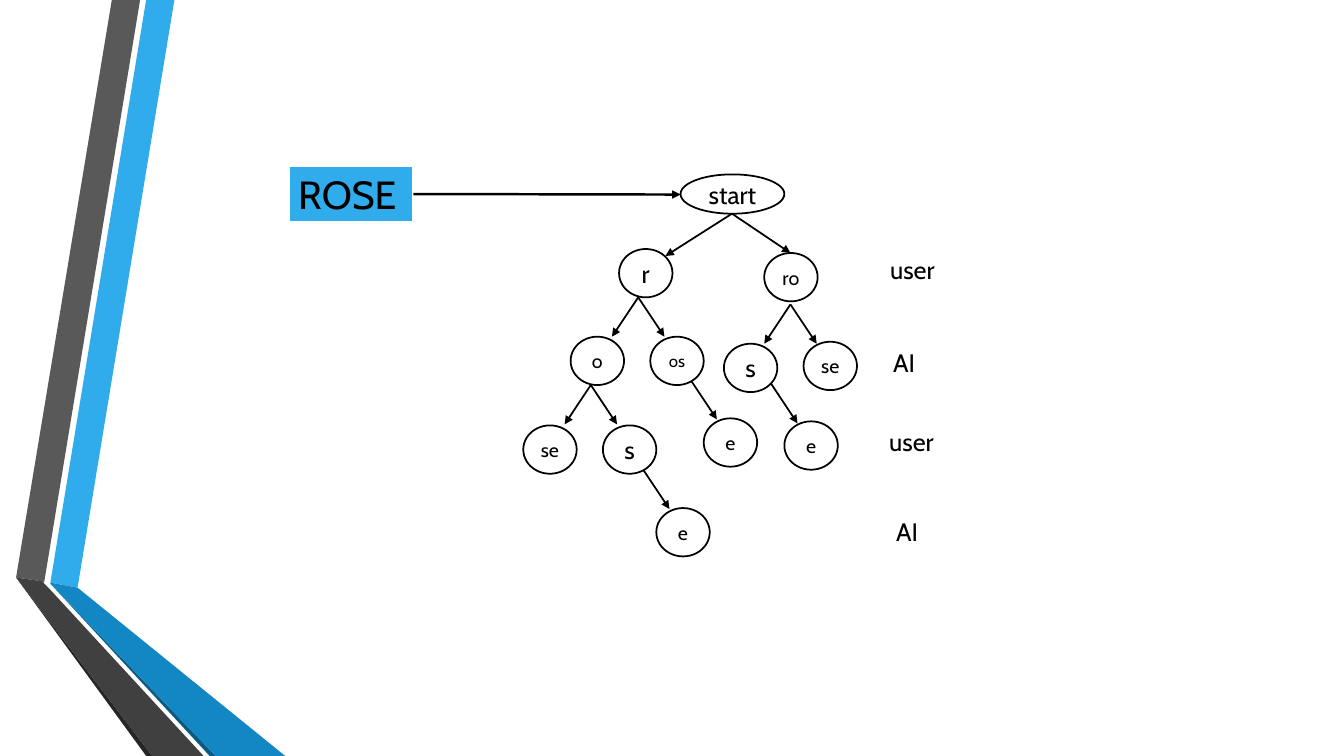
from typing import NamedTuple

from lxml import etree
from pptx import Presentation
from pptx.dml.color import RGBColor
from pptx.enum.shapes import MSO_CONNECTOR, MSO_SHAPE
from pptx.enum.text import MSO_ANCHOR, MSO_AUTO_SIZE, PP_ALIGN
from pptx.oxml.ns import qn
from pptx.util import Inches, Pt

OVAL = MSO_SHAPE.OVAL
RECT = MSO_SHAPE.RECTANGLE
STRAIGHT = MSO_CONNECTOR.STRAIGHT
MIDDLE = MSO_ANCHOR.MIDDLE
TOP = MSO_ANCHOR.TOP
GROW = MSO_AUTO_SIZE.SHAPE_TO_FIT_TEXT
CENTER = PP_ALIGN.CENTER
LEFT = PP_ALIGN.LEFT

FONT = "Cabin"
COLORS = {
    "ink": "000000", "paper": "FFFFFF", "sky": "30ACEC", "blue": "1287C3",
    "navy": "0C5A82", "gray": "595959", "dark": "404040", "black": "262626",
}


class Band(NamedTuple):
    color: str
    points: list[tuple[float, float]]


class Node(NamedTuple):
    text: str
    left: float
    top: float
    size: int = 14
    width: float = 0.53
    height: float = 0.48


class Edge(NamedTuple):
    x: float
    y: float
    dx: float = 0.26
    dy: float = 0.39


class Label(NamedTuple):
    text: str
    left: float
    top: float
    width: float


BANDS = [
    Band("sky", [(0.5, 5.78), (0.77, 5.83), (1.73, 0), (1.45, 0)]),
    Band("gray", [(1.39, 0), (1.11, 0), (0.16, 5.73), (0.44, 5.77)]),
    Band("black", [(0.16, 5.73), (1.45, 7.5), (1.51, 7.5)]),
    Band("navy", [(0.5, 5.79), (2.08, 7.5), (2.14, 7.5)]),
    Band("blue", [(0.5, 5.79), (2.14, 7.5), (2.83, 7.5), (0.77, 5.83), (0.5, 5.78)]),
    Band("dark", [(2.02, 7.5), (0.48, 5.83), (0.43, 5.78), (0.44, 5.77),
                  (0.16, 5.73), (1.51, 7.5)]),
]
EDGES = [
    Edge(7.26, 2.12, -0.66, 0.42), Edge(7.26, 2.12, 0.58),
    Edge(6.33, 2.95, -0.26), Edge(6.33, 2.95),
    Edge(7.84, 3.02, -0.26), Edge(7.84, 3.02),
    Edge(5.86, 3.82, -0.26), Edge(5.86, 3.82),
    Edge(6.38, 4.66), Edge(6.85, 3.77), Edge(7.65, 3.81),
]
NODES = [
    Node("start", 6.75, 1.73, 18, 1.03, 0.39),
    Node("r", 6.14, 2.47, 18), Node("ro", 7.58, 2.51),
    Node("o", 5.66, 3.34), Node("os", 6.45, 3.34, 12),
    Node("s", 7.18, 3.41, 18), Node("se", 7.97, 3.39),
    Node("se", 5.19, 4.22), Node("s", 5.98, 4.22, 18),
    Node("e", 6.98, 4.15), Node("e", 7.78, 4.18), Node("e", 6.51, 5.04),
]
LABELS = [
    Label("user", 8.73, 2.47, 0.65), Label("AI", 8.76, 3.4, 0.42),
    Label("user", 8.72, 4.18, 0.65), Label("AI", 8.79, 5.07, 0.42),
]


def color(name: str) -> RGBColor:
    return RGBColor.from_string(COLORS[name])


def write(shape, text: str, size: int, align=LEFT, anchor=TOP) -> None:
    frame = shape.text_frame
    frame.text = text
    frame.word_wrap = False
    frame.vertical_anchor = anchor
    para = frame.paragraphs[0]
    para.alignment = align
    font = para.runs[0].font
    font.name = FONT
    font.size = Pt(size)
    font.color.rgb = color("ink")


def paint(shape, fill: str, line: str, width: float) -> None:
    shape.shadow.inherit = False
    shape.fill.solid()
    shape.fill.fore_color.rgb = color(fill)
    shape.line.color.rgb = color(line)
    shape.line.width = Pt(width)


def add_band(shapes, band: Band) -> None:
    first, *rest = [(Inches(x), Inches(y)) for x, y in band.points]
    pen = shapes.build_freeform(*first)
    pen.add_line_segments(rest, close=True)
    shape = pen.convert_to_shape()
    shape.shadow.inherit = False
    shape.fill.solid()
    shape.fill.fore_color.rgb = color(band.color)
    shape.line.fill.background()


def add_edge(shapes, edge: Edge, width: float = 1.25):
    arrow = shapes.add_connector(
        STRAIGHT, Inches(edge.x), Inches(edge.y),
        Inches(edge.x + edge.dx), Inches(edge.y + edge.dy))
    arrow.line.color.rgb = color("ink")
    arrow.line.width = Pt(width)
    etree.SubElement(arrow.line._get_or_add_ln(), qn("a:tailEnd"), type="triangle")
    etree.SubElement(arrow._element.spPr, qn("a:effectLst"))
    return arrow


def add_node(shapes, node: Node) -> None:
    oval = shapes.add_shape(OVAL, Inches(node.left), Inches(node.top),
                            Inches(node.width), Inches(node.height))
    paint(oval, "paper", "ink", 1.25)
    write(oval, node.text, node.size, CENTER, MIDDLE)


def add_label(shapes, label: Label) -> None:
    box = shapes.add_textbox(Inches(label.left), Inches(label.top),
                             Inches(label.width), Inches(0.4))
    write(box, label.text, 18)
    box.text_frame.auto_size = GROW


def add_word(shapes) -> None:
    word = shapes.add_shape(RECT, Inches(2.86), Inches(1.64), Inches(1.24), Inches(0.57))
    paint(word, "sky", "paper", 1.75)
    write(word, "ROSE", 28)
    word.text_frame.word_wrap = True
    word.text_frame.auto_size = GROW
    arrow = add_edge(shapes, Edge(4.1, 1.93, 2.65, 0), 1.75)
    arrow.begin_connect(word, 3)


def main() -> None:
    deck = Presentation()
    deck.slide_width = Inches(13.33)
    deck.slide_height = Inches(7.5)
    shapes = deck.slides.add_slide(deck.slide_layouts[6]).shapes
    group = shapes.add_group_shape()
    for band in BANDS:
        add_band(group.shapes, band)
    for edge in EDGES:
        add_edge(shapes, edge)
    for node in NODES:
        add_node(shapes, node)
    for label in LABELS:
        add_label(shapes, label)
    add_word(shapes)
    deck.save("out.pptx")


if __name__ == "__main__":
    main()
